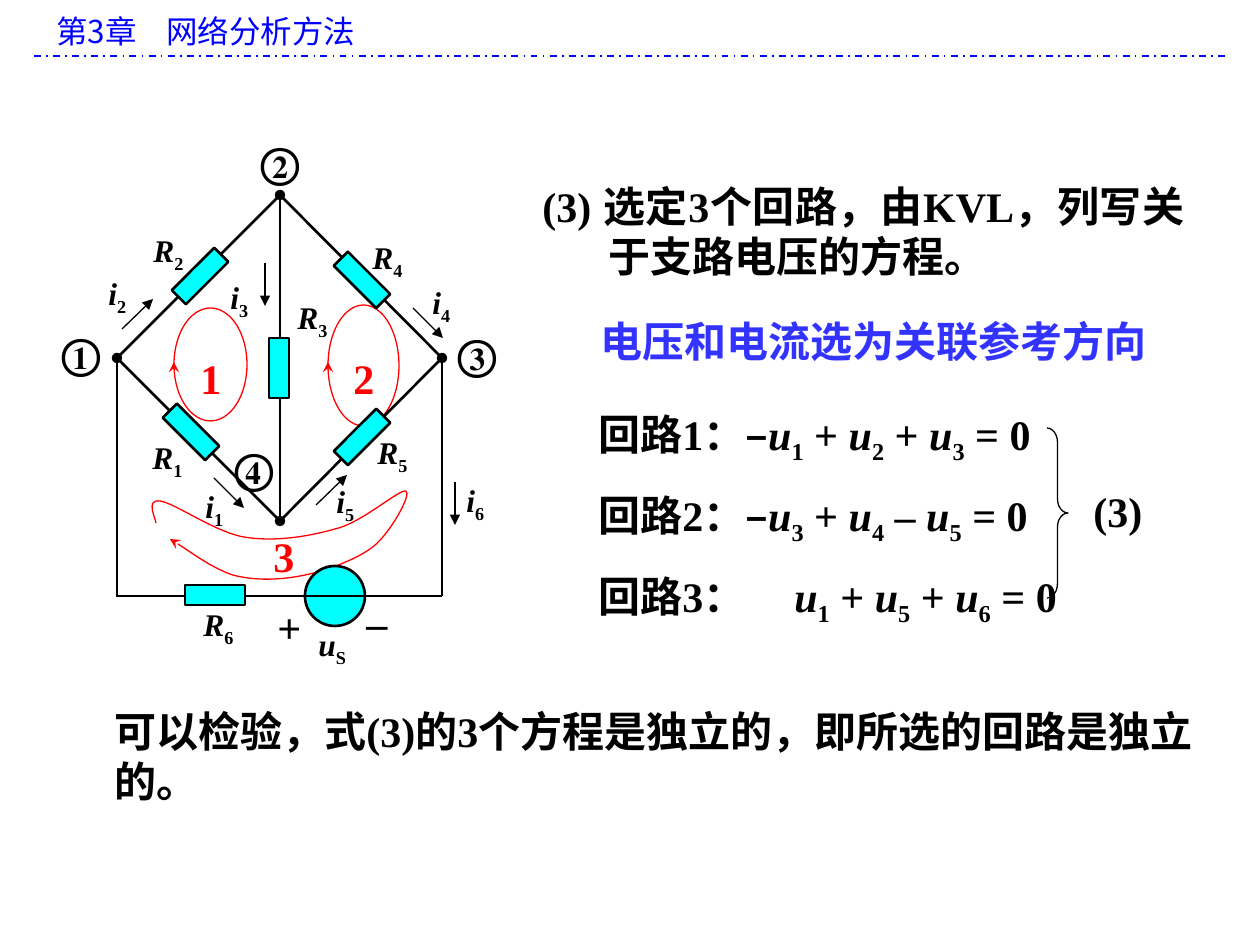
from lxml import etree
from pptx import Presentation
from pptx import util as u
from pptx.dml.color import RGBColor
from pptx.enum import dml, shapes, text
from pptx.oxml.ns import qn

PX = 914400 / 126
HUES = {"ink": "000000", "blue": "0000FF", "note": "3333FF", "red": "FF0000", "cyan": "00FFFF"}
HUES = {name: RGBColor.from_string(code) for name, code in HUES.items()}
SERIF, SANS = "Times New Roman", "Noto Sans CJK SC"
LEFT, TOP, RIGHT, LOW = (117, 358), (280, 195), (442, 358), (280, 521)

deck = Presentation()
deck.slide_width, deck.slide_height = u.Inches(10), u.Inches(7.5)
slide = deck.slides.add_slide(deck.slide_layouts[6])
items = slide.shapes


def write(words, box, hue="ink", size=24, bold=True, face=SERIF, east=SANS,
          wrap=True, hang=0, tab=0, **form):
    frame = items.add_textbox(*[round(n * PX) for n in box]).text_frame
    frame.word_wrap = wrap
    frame.auto_size = text.MSO_AUTO_SIZE.SHAPE_TO_FIT_TEXT
    frame.vertical_anchor = form.pop("anchor", text.MSO_ANCHOR.TOP)
    para = frame.paragraphs[0]
    for key, value in form.items():
        setattr(para, key, value)
    props = para._p.get_or_add_pPr()
    if hang:
        props.set("marL", str(round(hang * PX)))
        props.set("indent", str(-round(hang * PX)))
    if tab:
        stops = etree.SubElement(props, qn("a:tabLst"))
        etree.SubElement(stops, qn("a:tab"), pos=str(round(tab * PX)), algn="l")
    for part in words.split("|"):
        pair = len(part) == 3 and part[1] == "_"
        bits = [(part[0], True, 0), (part[2], False, -25000)] if pair else [(part, False, 0)]
        for word, slant, base in bits:
            run = para.add_run()
            run.text = word
            font = {"name": face, "size": u.Pt(size), "bold": bold, "italic": slant}
            for key, value in font.items():
                setattr(run.font, key, value)
            run.font.color.rgb = HUES[hue]
            mark = run._r.get_or_add_rPr()
            if base:
                mark.set("baseline", str(base))
            etree.SubElement(mark, qn("a:ea"), typeface=east)


def wire(start, end, hue="ink", width=1.5, head=None, tail=None, dash=None):
    ends = [round(n * PX) for n in (*start, *end)]
    link = items.add_connector(shapes.MSO_CONNECTOR.STRAIGHT, *ends)
    link.line.color.rgb = HUES[hue]
    link.line.width = u.Pt(width)
    if dash:
        link.line.dash_style = dash
    stroke = link.line._get_or_add_ln()
    for tag, kind in (("a:headEnd", head), ("a:tailEnd", tail)):
        if kind:
            etree.SubElement(stroke, qn(tag), type=kind)
    etree.SubElement(link._element.spPr, qn("a:effectLst"))


write("第3章\t网络分析方法", (44, 6, 1181, 50), "blue", 18, False, SANS, tab=110)
wire((34, 56), (1225, 56), "blue", 1, dash=dml.MSO_LINE.DASH_DOT)

curve = [
    (156, 519), (145, 499), (160, 501), (175, 503), (215, 532), (244, 537),
    (273, 542), (307, 537), (335, 529), (362, 523), (399, 489), (406, 491),
    (412, 494), (391, 532), (374, 546), (358, 559), (328, 570), (305, 575),
    (281, 580), (256, 581), (233, 575), (212, 568), (184, 547), (170, 539),
]
pen = items.build_freeform(156, 523, scale=PX)
pen.add_line_segments(curve, close=False)
loop = pen.convert_to_shape()
loop.shadow.inherit = False
loop.fill.background()
loop.line.color.rgb = HUES["red"]
loop.line.width = u.Pt(0.75)
etree.SubElement(loop.line._get_or_add_ln(), qn("a:tailEnd"), type="stealth")
trace = loop._element.find(".//" + qn("a:path"))
legs = trace.findall(qn("a:lnTo"))
for i in range(0, len(legs), 3):
    bend = etree.SubElement(trace, qn("a:cubicBezTo"))
    for leg in legs[i:i + 3]:
        bend.append(leg[0])
        trace.remove(leg)

FORM = shapes.MSO_SHAPE
parts = [
    (FORM.RIGHT_BRACE, (1047, 428, 21, 170), 0, None, "ink", 0.75),
    (FORM.OVAL, (174, 308, 73, 113), 0, None, "red", 0.75),
    (FORM.OVAL, (328, 305, 71, 121), 0, None, "red", 0.75),
    (FORM.OVAL, (305, 566, 60, 60), 0, "cyan", "ink", 1.5),
]
wires = [(LEFT, LOW), (TOP, LEFT), (TOP, RIGHT), (RIGHT, LOW), ((116, 596), (442, 596))]
mids = [(191, 432, 45), (200, 276, 135), (279, 368, 90),
        (362, 280, 45), (362, 437, 135), (215, 595, 0)]
count = len(parts)
parts += [(FORM.RECTANGLE, (x - 30, y - 10, 60, 20), turn, "cyan", "ink", 1.5)
          for x, y, turn in mids]
for i, (form, box, turn, fill, hue, width) in enumerate(parts):
    if i == count:
        for start, end in wires:
            wire(start, end)
        wire(TOP, LOW, head="oval", tail="oval")
        for x, y in (LEFT, RIGHT):
            wire((x, y), (x, 596), head="oval")
    part = items.add_shape(form, *[round(n * PX) for n in box])
    part.shadow.inherit = False
    part.rotation = turn
    part.line.color.rgb = HUES[hue]
    part.line.width = u.Pt(width)
    if fill:
        part.fill.solid()
        part.fill.fore_color.rgb = HUES[fill]
    else:
        part.fill.background()
    if form == FORM.RIGHT_BRACE:
        part.adjustments[0], part.adjustments[1] = 0.68, 0.5

for x, y in ((174, 367), (328, 369)):
    wire((x, y), (x, 362), "red", 0.75, tail="stealth")
flows = [((214, 478), (244, 508)), ((122, 329), (153, 299)), ((265, 263), (265, 306)),
         ((413, 308), (443, 338)), ((316, 505), (347, 475)), ((455, 482), (455, 525))]
for start, end in flows:
    wire(start, end, width=0.75, tail="triangle")

for word, x, y in (("1", 188, 346), ("2", 341, 346), ("3", 261, 524)):
    write(word, (x, y, 50, 63), "red")
for word, x, y in (("①", 49, 321), ("②", 248, 130), ("③", 445, 322), ("④", 222, 436)):
    write(word, (x, y, 68, 63), east=SERIF, wrap=False)
tags = [("R_1", 140, 432), ("R_2", 141, 225), ("R_3", 285, 292), ("R_4", 360, 232),
        ("R_5", 365, 427), ("R_6", 191, 599), ("u_S", 306, 619),
        ("i_1", 193, 481), ("i_2", 96, 268), ("i_3", 218, 272), ("i_4", 420, 277),
        ("i_5", 324, 476), ("i_6", 454, 475)]
for word, x, y in tags:
    write(word, (x, y, 44 if word[0] == "i" else 57, 50), size=18, wrap=False)
for word, x, y in (("+", 265, 595), ("_", 353, 576)):
    write(word, (x, y, 48, 63), anchor=text.MSO_ANCHOR.MIDDLE, alignment=text.PP_ALIGN.CENTER)

write("(3) 选定3个回路，由KVL，列写关于支路电压的方程。", (530, 174, 667, 113),
      hang=66, alignment=text.PP_ALIGN.JUSTIFY)
write("电压和电流选为关联参考方向", (588, 309, 622, 63), "note",
      hang=66, alignment=text.PP_ALIGN.JUSTIFY)
sums = ["回路1：–|u_1| + |u_2| + |u_3| = 0",
        "回路2：–|u_3| + |u_4| – |u_5| = 0",
        "回路3：\t|u_1| + |u_5| + |u_6| = 0"]
for i, line in enumerate(sums):
    write(line, (586, 402 + 81 * i, 489, 63), tab=196 if "\t" in line else 0)
write("(3)", (1081, 479, 121, 63))
write("可以检验，式(3)的3个方程是独立的，即所选的回路是独立的。", (102, 699, 1110, 113))

deck.save("out.pptx")
